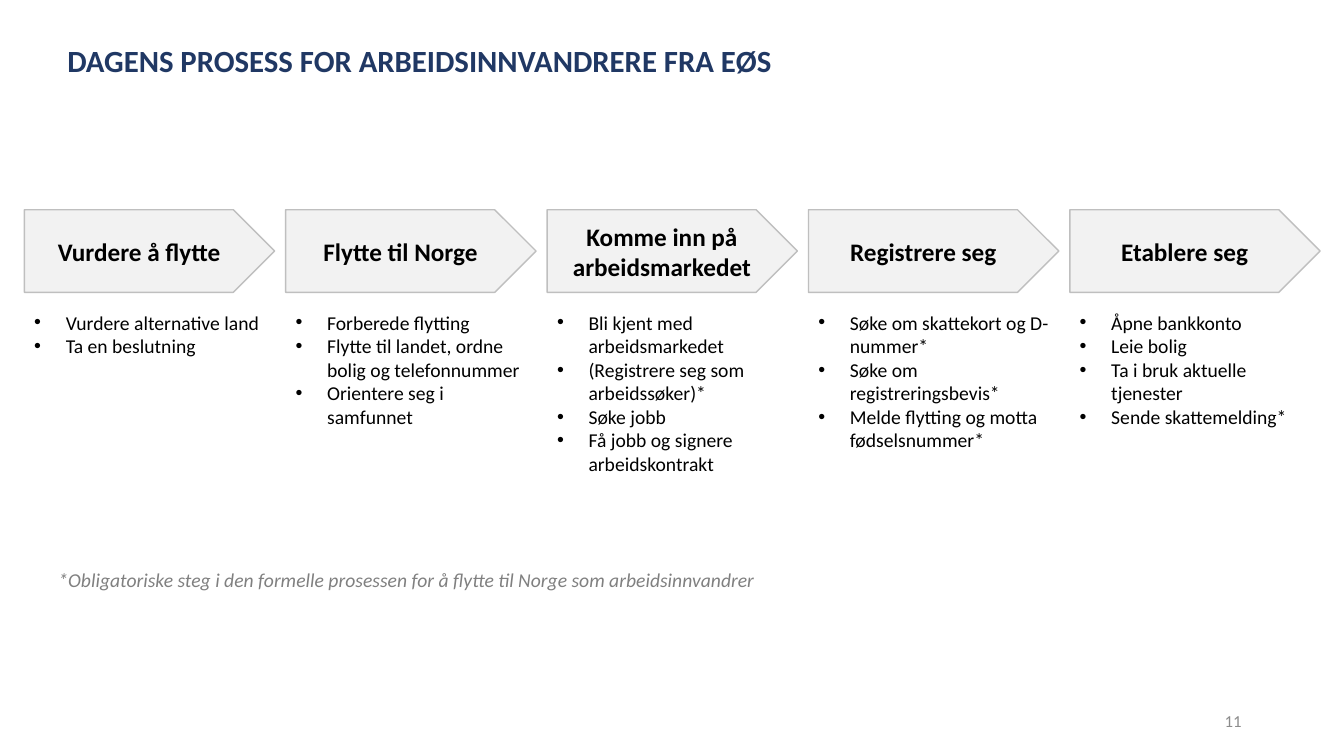
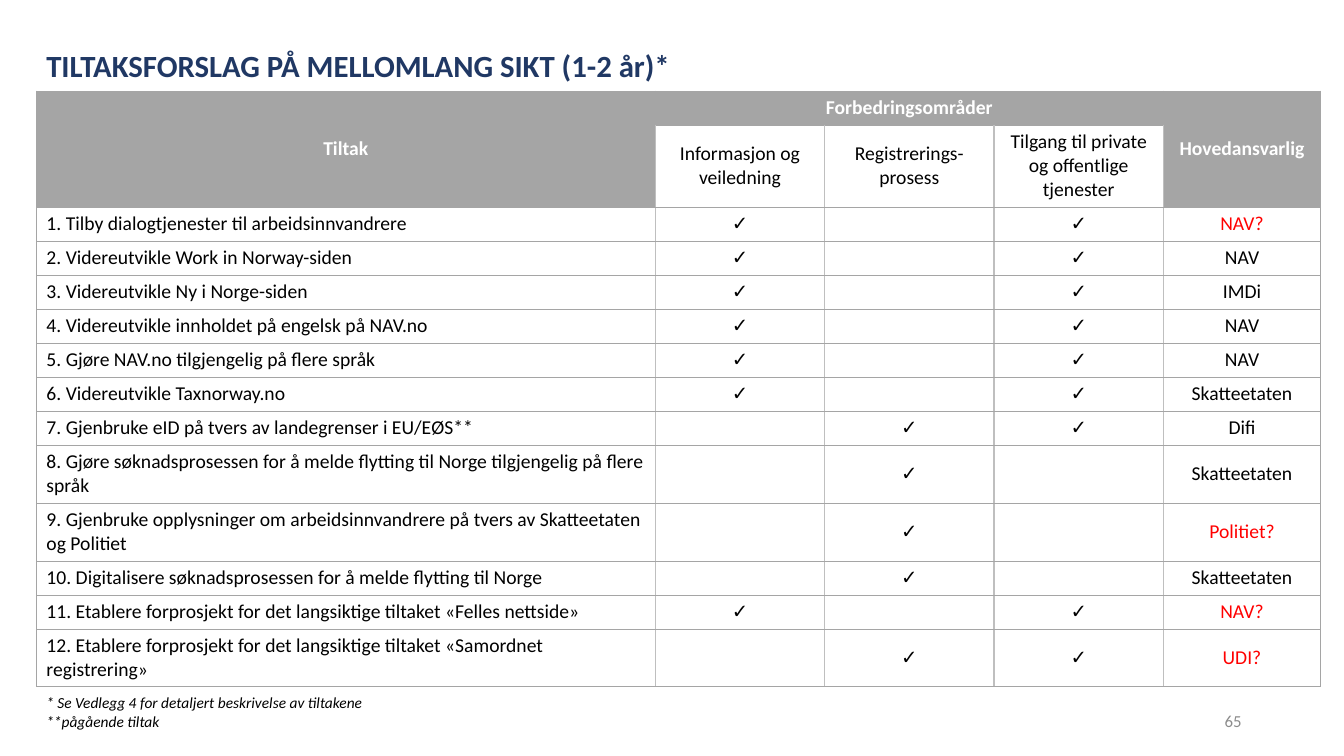
from lxml import etree
from pptx import Presentation
from pptx.dml.color import RGBColor
from pptx.enum import shapes, text
from pptx.oxml.ns import qn
from pptx.util import Pt

NAVY = RGBColor(0x20, 0x38, 0x64)
BLACK = RGBColor(0, 0, 0)
WHITE = RGBColor(0xFF, 0xFF, 0xFF)
RED = RGBColor(0xFF, 0, 0)
PALE = RGBColor(0xF2, 0xF2, 0xF2)
SILVER = RGBColor(0xBF, 0xBF, 0xBF)
GRAY = RGBColor(0xA5, 0xA5, 0xA5)
PAGE_GRAY = RGBColor(0x8C, 0x8C, 0x8C)
NOTE_GRAY = RGBColor(0x80, 0x80, 0x80)

LEFT, CENTER, RIGHT = text.PP_ALIGN.LEFT, text.PP_ALIGN.CENTER, text.PP_ALIGN.RIGHT
TOP, MIDDLE, BOTTOM = text.MSO_ANCHOR.TOP, text.MSO_ANCHOR.MIDDLE, text.MSO_ANCHOR.BOTTOM

TITLE = {"size": Pt(22), "bold": True}
STEP = {"size": Pt(18), "bold": True}
BODY = {"size": Pt(14), "bold": False}
HEADER = {"size": Pt(14), "bold": True}
NOTE = {"size": Pt(14), "italic": True}
SMALL_NOTE = {"size": Pt(11), "italic": True}
PAGE = {"size": Pt(12)}


def write(frame, lines, look, color, align=LEFT, bullet=False):
    """Fill a text frame with one paragraph per line, all in the same look."""
    frame.word_wrap = True
    for index, line in enumerate(lines):
        paragraph = frame.paragraphs[0] if index == 0 else frame.add_paragraph()
        paragraph.alignment = align
        if bullet:
            props = paragraph._p.get_or_add_pPr()
            props.set("marL", str(Pt(22.5)))
            props.set("indent", str(-Pt(22.5)))
            etree.SubElement(props, qn("a:buFont"), typeface="Arial")
            etree.SubElement(props, qn("a:buChar"), char="•")
        if not line:
            etree.SubElement(paragraph._p, qn("a:endParaRPr"), sz=str(int(look["size"].pt * 100)))
            continue
        run = paragraph.add_run()
        run.text = line
        run.font.name = "Calibri"
        run.font.color.rgb = color
        for key, value in look.items():
            setattr(run.font, key, value)


def add_text(slide, box, lines, look, color, align=LEFT, anchor=TOP, bullet=False):
    frame = slide.shapes.add_textbox(*map(Pt, box)).text_frame
    frame.vertical_anchor = anchor
    write(frame, lines, look, color, align, bullet)


prs = Presentation()
prs.slide_width, prs.slide_height = Pt(960), Pt(540)

headings = [
    ("DAGENS PROSESS FOR ARBEIDSINNVANDRERE FRA EØS", (41, 0, 871, 60), BOTTOM, "11"),
    ("TILTAKSFORSLAG PÅ MELLOMLANG SIKT (1-2 år)*", (26, 30, 907, 36), TOP, "65"),
]
for title, box, anchor, page in headings:
    slide = prs.slides.add_slide(prs.slide_layouts[6])
    add_text(slide, box, [title], TITLE, NAVY, anchor=anchor)
    add_text(slide, (678, 500.4, 216, 28.8), [page], PAGE, PAGE_GRAY, RIGHT, MIDDLE)
process_slide, measures_slide = prs.slides

# Process steps
steps = [
    ("Vurdere å flytte", ["Vurdere alternative land", "Ta en beslutning"]),
    ("Flytte til Norge", [
        "Forberede flytting",
        "Flytte til landet, ordne bolig og telefonnummer",
        "Orientere seg i samfunnet",
    ]),
    ("Komme inn på arbeidsmarkedet", [
        "Bli kjent med arbeidsmarkedet",
        "(Registrere seg som arbeidssøker)*",
        "Søke jobb",
        "Få jobb og signere arbeidskontrakt",
    ]),
    ("Registrere seg", [
        "Søke om skattekort og D-nummer*",
        "Søke om registreringsbevis*",
        "Melde flytting og motta fødselsnummer*",
    ]),
    ("Etablere seg", [
        "Åpne bankkonto",
        "Leie bolig",
        "Ta i bruk aktuelle tjenester",
        "Sende skattemelding*",
    ]),
]
STEP_LEFT, STEP_PITCH, STEP_WIDTH = 17.4, 186.7, 178.8
for index, (name, tasks) in enumerate(steps):
    left = STEP_LEFT + index * STEP_PITCH
    arrow = process_slide.shapes.add_shape(
        shapes.MSO_SHAPE.PENTAGON, Pt(left), Pt(149.8), Pt(STEP_WIDTH), Pt(59))
    arrow.shadow.inherit = False
    arrow.fill.solid()
    arrow.fill.fore_color.rgb = PALE
    arrow.line.color.rgb = SILVER
    arrow.line.width = Pt(1)
    arrow.text_frame.vertical_anchor = MIDDLE
    write(arrow.text_frame, [name], STEP, BLACK, CENTER)
    add_text(process_slide, (left, 218.2, STEP_WIDTH, 24 + 17 * len(tasks)), tasks,
             BODY, BLACK, bullet=True)

add_text(process_slide, (34.6, 401.8, 662, 24.5),
         ["*Obligatoriske steg i den formelle prosessen for å flytte til Norge som arbeidsinnvandrer"],
         NOTE, NOTE_GRAY)

# Measures: text, ticked areas, responsible, number of text lines
areas = ["Informasjon og veiledning", "Registrerings-prosess",
         "Tilgang til private og offentlige tjenester"]
measures = [
    ("1. Tilby dialogtjenester til arbeidsinnvandrere", (1, 3), "NAV?", 1),
    ("2. Videreutvikle Work in Norway-siden", (1, 3), "NAV", 1),
    ("3. Videreutvikle Ny i Norge-siden", (1, 3), "IMDi", 1),
    ("4. Videreutvikle innholdet på engelsk på NAV.no", (1, 3), "NAV", 1),
    ("5. Gjøre NAV.no tilgjengelig på flere språk", (1, 3), "NAV", 1),
    ("6. Videreutvikle Taxnorway.no", (1, 3), "Skatteetaten", 1),
    ("7. Gjenbruke eID på tvers av landegrenser i EU/EØS**", (2, 3), "Difi", 1),
    ("8. Gjøre søknadsprosessen for å melde flytting til Norge tilgjengelig på flere språk",
     (2,), "Skatteetaten", 2),
    ("9. Gjenbruke opplysninger om arbeidsinnvandrere på tvers av Skatteetaten og Politiet",
     (2,), "Politiet?", 2),
    ("10. Digitalisere søknadsprosessen for å melde flytting til Norge", (2,), "Skatteetaten", 1),
    ("11. Etablere forprosjekt for det langsiktige tiltaket «Felles nettside»", (1, 3), "NAV?", 1),
    ("12. Etablere forprosjekt for det langsiktige tiltaket «Samordnet registrering»",
     (2, 3), "UDI?", 2),
]
rows = [["Tiltak", "Forbedringsområder", "", "", "Hovedansvarlig"], ["", *areas, ""]]
line_counts = [1, 3]
for measure, ticked, responsible, line_count in measures:
    rows.append([measure, *("✓" if area in ticked else "" for area in (1, 2, 3)), responsible])
    line_counts.append(line_count)

widths = [442.1, 121, 121, 121, 112.3]
heights = [7.2 + 17.1 * count for count in line_counts]
table = measures_slide.shapes.add_table(
    len(rows), len(widths), Pt(26), Pt(65), Pt(sum(widths)), Pt(sum(heights))).table
table.first_row = table.horz_banding = False
for column, width in zip(table.columns, widths):
    column.width = Pt(width)
for row, height in zip(table.rows, heights):
    row.height = Pt(height)

last = len(widths) - 1
for r, row in enumerate(rows):
    for c, content in enumerate(row):
        cell = table.cell(r, c)
        is_header = r == 0 or (r == 1 and c in (0, last))
        props = cell._tc.get_or_add_tcPr()
        for side in ("lnL", "lnR", "lnT", "lnB"):
            outer = (side, c) in (("lnL", 0), ("lnR", last))
            soft = side in ("lnL", "lnR") and not (outer or is_header)
            edge = etree.SubElement(props, qn("a:" + side), w=str(Pt(1 if soft else 0.5)))
            fill = etree.SubElement(edge, qn("a:solidFill"))
            etree.SubElement(fill, qn("a:srgbClr"), val=str(SILVER if soft else GRAY))
        cell.fill.solid()
        cell.fill.fore_color.rgb = GRAY if is_header else WHITE
        cell.vertical_anchor = MIDDLE
        color = WHITE if is_header else RED if content.endswith("?") else BLACK
        write(cell.text_frame, [content], HEADER if is_header else BODY, color,
              LEFT if c == 0 and r > 1 else CENTER)
for first, end in (((0, 0), (1, 0)), ((0, 1), (0, 3)), ((0, last), (1, last))):
    table.cell(*first).merge(table.cell(*end))

add_text(measures_slide, (26, 491.8, 269, 34),
         ["* Se Vedlegg 4 for detaljert beskrivelse av tiltakene", "**pågående tiltak"],
         SMALL_NOTE, BLACK)

prs.save("out.pptx")
